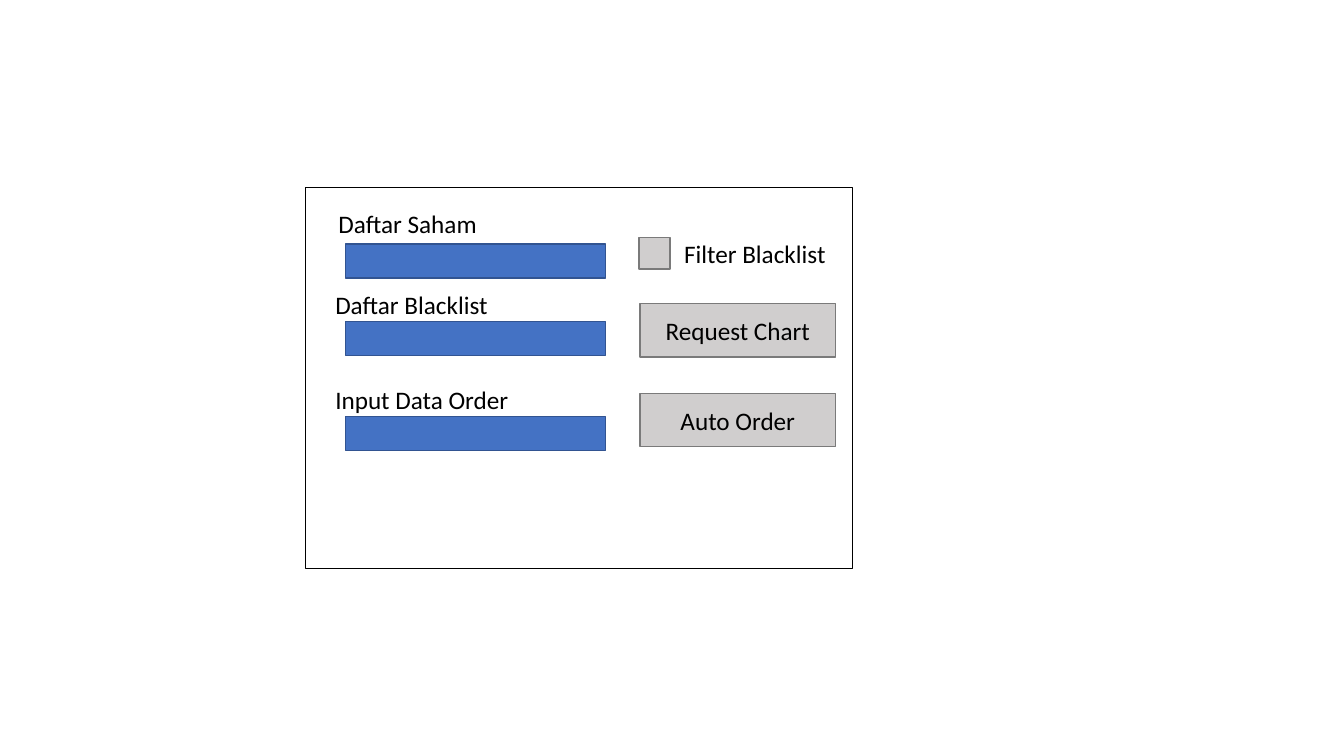
"""Builds a slide with a wireframe of a stock order window."""
from dataclasses import dataclass

from pptx import Presentation
from pptx.dml.color import RGBColor
from pptx.enum.shapes import MSO_SHAPE
from pptx.enum.text import MSO_ANCHOR, MSO_AUTO_SIZE, PP_ALIGN
from pptx.util import Cm, Pt

RECTANGLE = MSO_SHAPE.RECTANGLE
MIDDLE = MSO_ANCHOR.MIDDLE
CENTER = PP_ALIGN.CENTER
GROW = MSO_AUTO_SIZE.SHAPE_TO_FIT_TEXT


@dataclass(frozen=True)
class Theme:
    font: str = "Calibri"
    text_size: int = 18
    line_width: int = 1
    text: str = "000000"
    window: tuple = ("FFFFFF", "000000")
    field: tuple = ("4472C4", "325491")
    control: tuple = ("D0CECE", "7A7A7A")


theme = Theme()
presentation = Presentation()
presentation.slide_width = Cm(33.87)
presentation.slide_height = Cm(19.05)
slide = presentation.slides.add_slide(presentation.slide_layouts[6])


def add_box(left, top, width, height, colors):
    box = slide.shapes.add_shape(RECTANGLE, Cm(left), Cm(top), Cm(width), Cm(height))
    fill, line = colors
    box.shadow.inherit = False
    box.fill.solid()
    box.fill.fore_color.rgb = RGBColor.from_string(fill)
    box.line.color.rgb = RGBColor.from_string(line)
    box.line.width = Pt(theme.line_width)
    return box


def write(frame, text):
    frame.text = text
    font = frame.paragraphs[0].runs[0].font
    font.name = theme.font
    font.size = Pt(theme.text_size)
    font.color.rgb = RGBColor.from_string(theme.text)


add_box(7.7, 4.72, 13.79, 9.6, theme.window)

captions = [
    ("Daftar Saham", 8.28, 5.13, 4.04),
    ("Daftar Blacklist", 8.2, 7.16, 4.39),
    ("Input Data Order", 8.2, 9.55, 4.93),
    ("Filter Blacklist", 16.99, 5.89, 4.11),
]
for caption, left, top, width in captions:
    label = slide.shapes.add_textbox(Cm(left), Cm(top), Cm(width), Cm(1.02))
    label.text_frame.word_wrap = False
    label.text_frame.auto_size = GROW
    write(label.text_frame, caption)

for field_top in (6.15, 8.1, 10.49):
    add_box(8.71, field_top, 6.55, 0.86, theme.field)

add_box(16.1, 5.99, 0.79, 0.79, theme.control)

for action, button_top in (("Request Chart", 7.65), ("Auto Order", 9.91)):
    button = add_box(16.13, button_top, 4.93, 1.35, theme.control)
    write(button.text_frame, action)
    button.text_frame.vertical_anchor = MIDDLE
    button.text_frame.paragraphs[0].alignment = CENTER

presentation.save("out.pptx")
